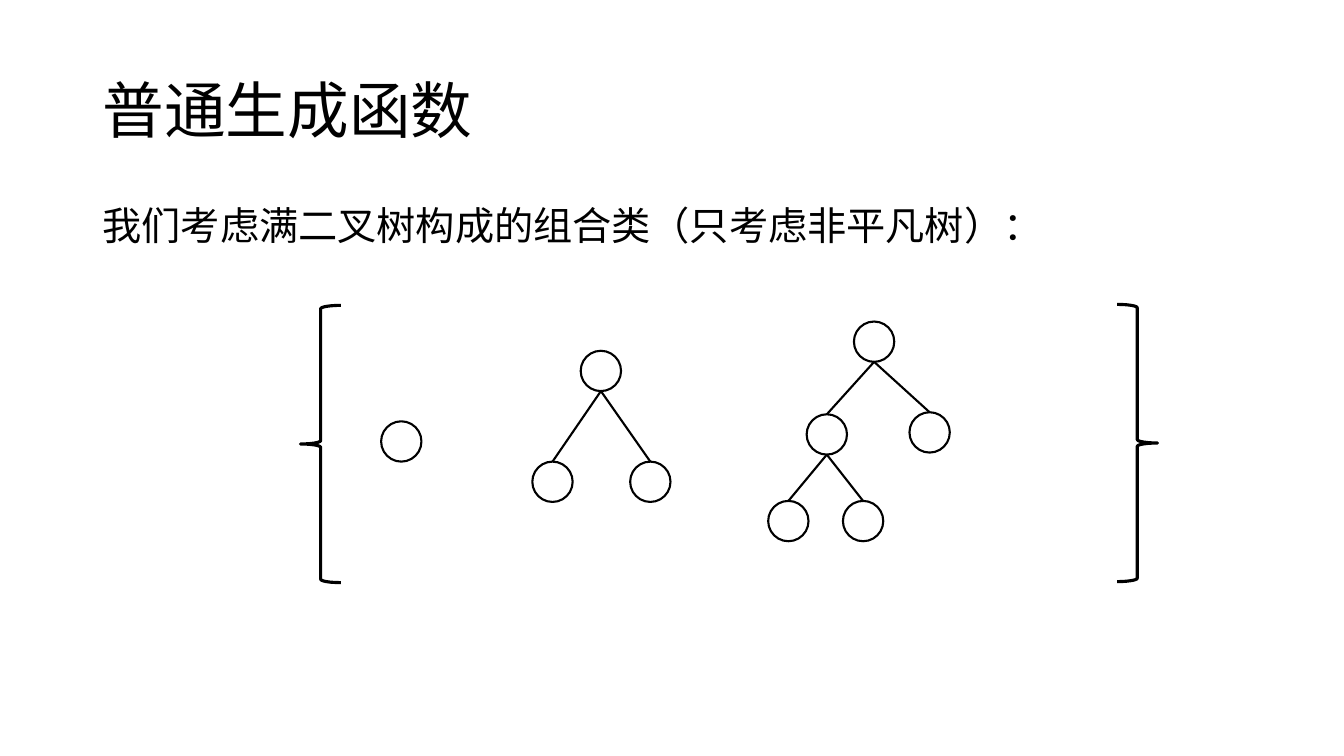
from lxml import etree
from pptx import Presentation
from pptx.dml.color import RGBColor
from pptx.enum.shapes import MSO_CONNECTOR, MSO_SHAPE
from pptx.enum.text import MSO_ANCHOR
from pptx.oxml.ns import qn
from pptx.util import Inches, Pt

BLACK = RGBColor(0, 0, 0)
WHITE = RGBColor(255, 255, 255)
FONT = "Noto Sans CJK SC"
LINE = MSO_CONNECTOR.STRAIGHT
OVAL = MSO_SHAPE.OVAL
LEFT, RIGHT = MSO_SHAPE.LEFT_BRACE, MSO_SHAPE.RIGHT_BRACE
TOP, MIDDLE = MSO_ANCHOR.TOP, MSO_ANCHOR.MIDDLE
WIDE, HIGH = Inches(13.33), Inches(7.5)
NODE = Inches(0.4)

# Each tree is (centre x, centre y, subtrees), in percent of the slide.
TREES = [
    (29.86, 58.4, []),
    (44.71, 49.07, [(41.11, 63.73, []), (48.39, 63.73, [])]),
    (65.04, 45.2, [
        (61.52, 57.47, [(58.66, 68.93, []), (64.22, 68.93, [])]),
        (69.17, 57.2, []),
    ]),
]


def col(share):
    """Turn a percentage of the slide's width into a length."""
    return round(WIDE * share / 100)


def row(share):
    """Turn a percentage of the slide's height into a length."""
    return round(HIGH * share / 100)


def add_text(slide, text, y, wide, high, size, anchor):
    box = slide.shapes.add_textbox(col(6.9), row(y), col(wide), row(high))
    frame = box.text_frame
    frame.word_wrap = True
    frame.vertical_anchor = anchor
    para = frame.paragraphs[0]
    para.text = text
    para.line_spacing = 0.9
    font = para.font
    font.size = Pt(size)
    font.color.rgb = BLACK
    font.name = FONT
    etree.SubElement(font._rPr, qn("a:ea"), typeface=FONT)


def add_form(slide, kind, x, y, wide, high, weight):
    form = slide.shapes.add_shape(kind, x, y, wide, high)
    form.shadow.inherit = False
    form.line.color.rgb = BLACK
    form.line.width = Pt(weight)
    return form


def add_brace(slide, kind, x, y):
    brace = add_form(slide, kind, col(x), row(y), col(3), row(36.67), 2.25)
    brace.fill.background()


def add_edge(slide, x1, y1, x2, y2):
    edge = slide.shapes.add_connector(LINE, x1, y1, x2, y2)
    edge.line.color.rgb = BLACK
    edge.line.width = Pt(1.5)
    etree.SubElement(edge._element.spPr, qn("a:effectLst"))


def add_tree(slide, tree):
    """Draw a node, then its subtrees and the edges down to them."""
    x, y, kids = tree
    x, y, half = col(x), row(y), NODE // 2
    node = add_form(slide, OVAL, x - half, y - half, NODE, NODE, 1.5)
    node.fill.solid()
    node.fill.fore_color.rgb = WHITE
    for kid in kids:
        add_tree(slide, kid)
        add_edge(slide, x, y + half, col(kid[0]), row(kid[1]) - half)


def main():
    deck = Presentation()
    deck.slide_width, deck.slide_height = WIDE, HIGH
    slide = deck.slides.add_slide(deck.slide_layouts[6])
    add_text(slide, "普通生成函数", 5.33, 86.27, 19.33, 44, MIDDLE)
    add_text(slide, "我们考虑满二叉树构成的组合类（只考虑非平凡树）：",
             26.67, 78.69, 63.47, 28, TOP)
    add_brace(slide, LEFT, 22.36, 40.4)
    add_brace(slide, RIGHT, 83.12, 40.27)
    for tree in TREES:
        add_tree(slide, tree)
    deck.save("out.pptx")


if __name__ == "__main__":
    main()
